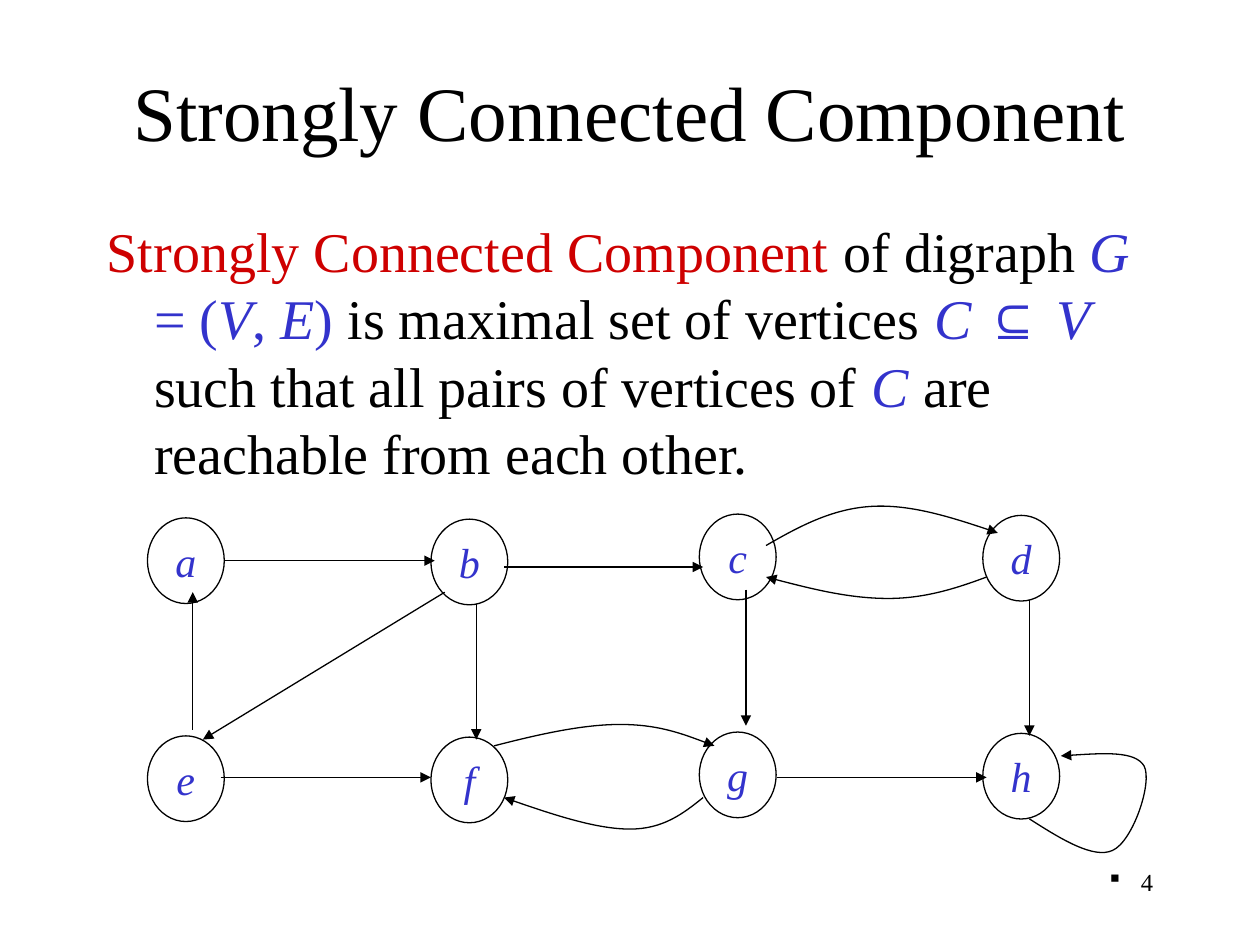
from pptx import Presentation
from pptx.dml.color import RGBColor
from pptx.enum.shapes import MSO_CONNECTOR, MSO_SHAPE
from pptx.enum.text import MSO_ANCHOR, PP_ALIGN
from pptx.oxml.ns import qn
from pptx.util import Inches, Pt
from lxml.etree import SubElement

BLACK, BLUE, RED = "000000", "3333CC", "CE0000"


def color(code):
    return RGBColor.from_string(code)


def smooth(shape):
    """Turn each three straight segments of a freeform into one Bezier curve."""
    track = next(shape._element.iter(qn("a:path")))
    lines = track.findall(qn("a:lnTo"))
    for first in range(0, len(lines), 3):
        cubic = SubElement(track, qn("a:cubicBezTo"))
        for line in lines[first:first + 3]:
            cubic.append(line[0])
            track.remove(line)


class Painter:
    font = "Times New Roman"
    width = Pt(0.75)

    def __init__(self, slide):
        self.slide = slide

    def style(self, font, size, code, italic=None):
        font.name, font.size, font.italic = self.font, Pt(size), italic
        font.color.rgb = color(code)

    def indent(self, par, size, bullet=None):
        """Hanging indent, with a Wingdings bullet if one is given."""
        props = par._p.get_or_add_pPr()
        props.set("marL", str(Inches(size)))
        props.set("indent", str(-Inches(size)))
        if bullet:
            SubElement(props, qn("a:buFont")).set("typeface", "Wingdings")
            SubElement(props, qn("a:buChar")).set("char", bullet)
        else:
            SubElement(props, qn("a:buNone"))

    def text(self, box, align=PP_ALIGN.LEFT, anchor=MSO_ANCHOR.TOP):
        """Add a text box and return its first paragraph."""
        frame = self.slide.shapes.add_textbox(*map(Inches, box)).text_frame
        frame.word_wrap = True
        frame.vertical_anchor = anchor
        par = frame.paragraphs[0]
        par.alignment = align
        return par

    def vertex(self, name, left, top):
        oval = self.slide.shapes.add_shape(
            MSO_SHAPE.OVAL, *map(Inches, (left, top, 0.61, 0.68)))
        oval.shadow.inherit = False
        oval.fill.background()
        oval.line.color.rgb = color(BLACK)
        oval.line.width = self.width
        frame = oval.text_frame
        frame.word_wrap = False
        frame.vertical_anchor = MSO_ANCHOR.MIDDLE
        par = frame.paragraphs[0]
        par.text = name
        par.alignment = PP_ALIGN.CENTER
        self.style(par.font, 24, BLUE, True)

    def arrow(self, line):
        """Style a line and put an arrowhead at its end."""
        line.color.rgb = color(BLACK)
        line.width = self.width
        SubElement(line._get_or_add_ln(), qn("a:tailEnd")).set("type", "triangle")

    def edge(self, start, end):
        link = self.slide.shapes.add_connector(
            MSO_CONNECTOR.STRAIGHT, *map(Inches, start + end))
        self.arrow(link.line)
        SubElement(link._element.spPr, qn("a:effectLst"))

    def bend(self, start, *points):
        """Curved arrow: a start, then two controls and an end for each curve."""
        pen = self.slide.shapes.build_freeform(*map(Inches, start))
        pen.add_line_segments(
            [(Inches(x), Inches(y)) for x, y in points], close=False)
        shape = pen.convert_to_shape()
        smooth(shape)
        shape.shadow.inherit = False
        shape.fill.background()
        self.arrow(shape.line)


def main():
    deck = Presentation()
    deck.slide_width, deck.slide_height = Inches(10), Inches(7.5)
    paint = Painter(deck.slides.add_slide(deck.slide_layouts[6]))

    number = paint.text((7.17, 6.83, 2.08, 0.5), PP_ALIGN.RIGHT)
    number.text = "4"
    paint.indent(number, 0.25, "§")
    paint.style(number.font, 14, BLACK)

    title = paint.text((0.75, 0.25, 8.5, 1.25), PP_ALIGN.CENTER, MSO_ANCHOR.MIDDLE)
    title.text = "Strongly Connected Component"
    paint.style(title.font, 44, BLACK)

    body = paint.text((0.75, 1.67, 8.5, 5))
    paint.indent(body, 3 / 8)
    for words, code, italic in (
        ("Strongly Connected Component", RED, False),
        (" of digraph ", BLACK, False),
        ("G", BLUE, True),
        (" = (", BLUE, False),
        ("V", BLUE, True),
        (", ", BLUE, False),
        ("E", BLUE, True),
        (")", BLUE, False),
        (" is maximal set of vertices ", BLACK, False),
        ("C ", BLUE, True),
        ("⊆ ", BLUE, False),
        ("V", BLUE, True),
        (" such that all pairs of vertices of ", BLACK, False),
        ("C", BLUE, True),
        (" are reachable from each other.", BLACK, False),
    ):
        run = body.add_run()
        run.text = words
        paint.style(run.font, 32, code, italic)

    drop = 1.73  # from the upper row of vertices to the lower
    for pair, left, top in (("ae", 1.17, 4.11), ("bf", 3.42, 4.12),
                            ("cg", 5.55, 4.08), ("dh", 7.8, 4.09)):
        for row, name in enumerate(pair):
            paint.vertex(name, left, top + row * drop)

    for start, end in (
        ((1.78, 4.45), (3.45, 4.45)),  # a to b
        ((4, 4.5), (5.58, 4.5)),       # b to c
        ((1.53, 5.79), (1.53, 4.7)),   # e to a
        ((3.53, 4.7), (1.61, 5.87)),   # b to e
        ((3.78, 4.79), (3.78, 5.87)),  # b to f
        ((5.92, 4.68), (5.92, 5.76)),  # c to g
        ((8.17, 4.76), (8.17, 5.84)),  # d to h
        ((1.75, 6.17), (3.42, 6.17)),  # e to f
        ((6.17, 6.17), (7.83, 6.17)),  # g to h
    ):
        paint.edge(start, end)

    # f to g and back, c to d and back, h to itself
    paint.bend((3.92, 5.92), (4.27, 5.83), (4.62, 5.75), (4.92, 5.75),
               (5.21, 5.75), (5.44, 5.83), (5.67, 5.92))
    paint.bend((5.58, 6.33), (5.42, 6.46), (5.26, 6.58), (5, 6.58),
               (4.74, 6.58), (4.37, 6.46), (4, 6.33))
    paint.bend((6.08, 4.33), (6.34, 4.18), (6.6, 4.04), (6.91, 4.02),
               (7.21, 4), (7.57, 4.11), (7.92, 4.23))
    paint.bend((7.83, 4.58), (7.59, 4.67), (7.34, 4.75), (7.05, 4.75),
               (6.75, 4.75), (6.42, 4.67), (6.08, 4.58))
    paint.bend((8.17, 6.5), (8.42, 6.66), (8.68, 6.82), (8.83, 6.75),
               (8.99, 6.68), (9.15, 6.21), (9.08, 6.08),
               (9.01, 5.96), (8.72, 5.98), (8.42, 6))

    deck.save("out.pptx")


if __name__ == "__main__":
    main()
